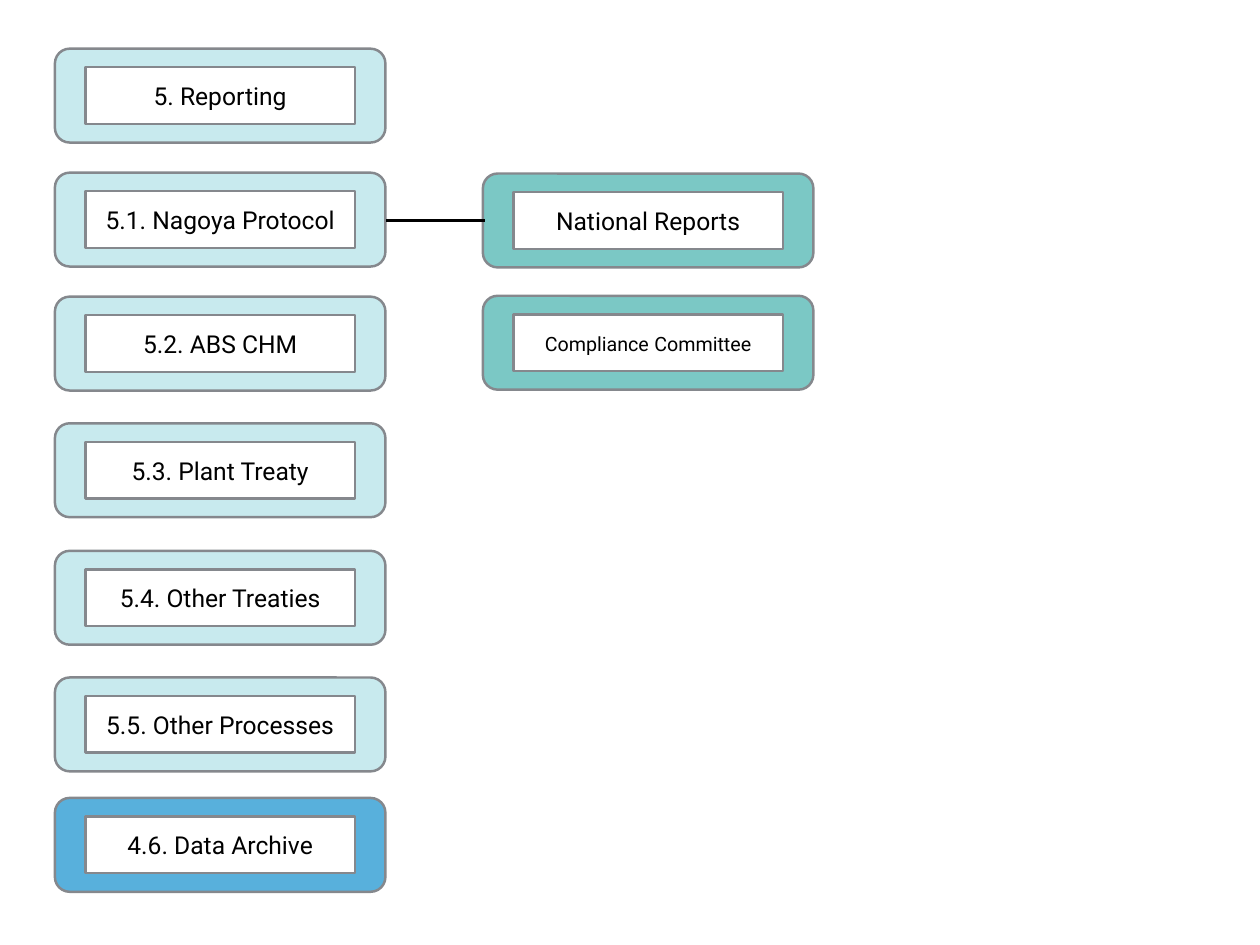
"""Build the reporting menu slide with its topic cards and sub-topics."""
from lxml.etree import SubElement
from pptx import Presentation
from pptx.dml.color import RGBColor
from pptx.enum.shapes import MSO_CONNECTOR, MSO_SHAPE
from pptx.enum.text import MSO_ANCHOR, PP_ALIGN
from pptx.oxml.ns import qn
from pptx.util import Inches, Pt

PALE = RGBColor(0xC8, 0xEA, 0xEE)
TEAL = RGBColor(0x7B, 0xC8, 0xC5)
BLUE = RGBColor(0x58, 0xB0, 0xDC)
GREY = RGBColor(0x85, 0x88, 0x8D)
WHITE = RGBColor(0xFF, 0xFF, 0xFF)
BLACK = RGBColor(0x00, 0x00, 0x00)

LEFT, RIGHT = 0.62, 5.45
CARD_W, CARD_H = 3.73, 1.06
LABEL_W, LABEL_H = 3.04, 0.64

CARDS = [
    (LEFT, 0.55, PALE, [("5. Reporting", 20)]),
    (LEFT, 1.95, PALE, [("5.1. Nagoya Protocol", 20)]),
    (LEFT, 3.35, PALE, [("5.2. ABS CHM", 20)]),
    (LEFT, 4.78, PALE, [("5.3. Plant Treaty", 20)]),
    (LEFT, 6.22, PALE, [("5.4. Other Treaties", 20)]),
    (LEFT, 7.65, PALE, [("5.5. Other Processes", 20)]),
    (LEFT, 9.01, BLUE, [("4.6. Data Archive", 20)]),
    (RIGHT, 1.96, TEAL, [("National Reports", 20)]),
    (RIGHT, 3.34, TEAL, [("Compliance", 16), (" ", 18), ("Committee", 16)]),
]


def add_text(p, text, size=20, font="Roboto", color=BLACK):
    r = p.add_run()
    r.text = text
    r.font.size = Pt(size)
    r.font.name = font
    r.font.color.rgb = color


class Diagram:
    def __init__(self, slide, line_width=2):
        self.s = slide
        self.line_width = Pt(line_width)

    def box(self, shapes, kind, x, y, w, h, fill):
        sp = shapes.add_shape(kind, Inches(x), Inches(y), Inches(w), Inches(h))
        sp.shadow.inherit = False
        sp.fill.solid()
        sp.fill.fore_color.rgb = fill
        sp.line.color.rgb = GREY
        sp.line.width = self.line_width
        return sp

    def card(self, x, y, fill, runs):
        shapes = self.s.shapes.add_group_shape().shapes
        frame = self.box(shapes, MSO_SHAPE.ROUNDED_RECTANGLE, x, y, CARD_W, CARD_H, fill)
        frame.adjustments[0] = 0.157
        label = self.box(shapes, MSO_SHAPE.RECTANGLE, x + (CARD_W - LABEL_W) / 2,
                         y + (CARD_H - LABEL_H) / 2, LABEL_W, LABEL_H, WHITE)
        tf = label.text_frame
        tf.word_wrap = True
        tf.vertical_anchor = MSO_ANCHOR.MIDDLE
        tf.margin_left = tf.margin_right = tf.margin_top = tf.margin_bottom = Inches(0.03)
        p = tf.paragraphs[0]
        p.alignment = PP_ALIGN.CENTER
        for text, size in runs:
            add_text(p, text, size=size)

    def link(self, x1, x2, y):
        line = self.s.shapes.add_connector(
            MSO_CONNECTOR.STRAIGHT, Inches(x1), Inches(y), Inches(x2), Inches(y))
        line.line.color.rgb = BLACK
        line.line.width = self.line_width
        SubElement(line._element.spPr, qn("a:effectLst"))


def main():
    prs = Presentation()
    prs.slide_width, prs.slide_height = Inches(14.22), Inches(10.67)
    diagram = Diagram(prs.slides.add_slide(prs.slide_layouts[6]))
    for x, y, fill, runs in CARDS:
        diagram.card(x, y, fill, runs)
    diagram.link(4.36, 5.47, 2.49)
    prs.save("out.pptx")


if __name__ == "__main__":
    main()
